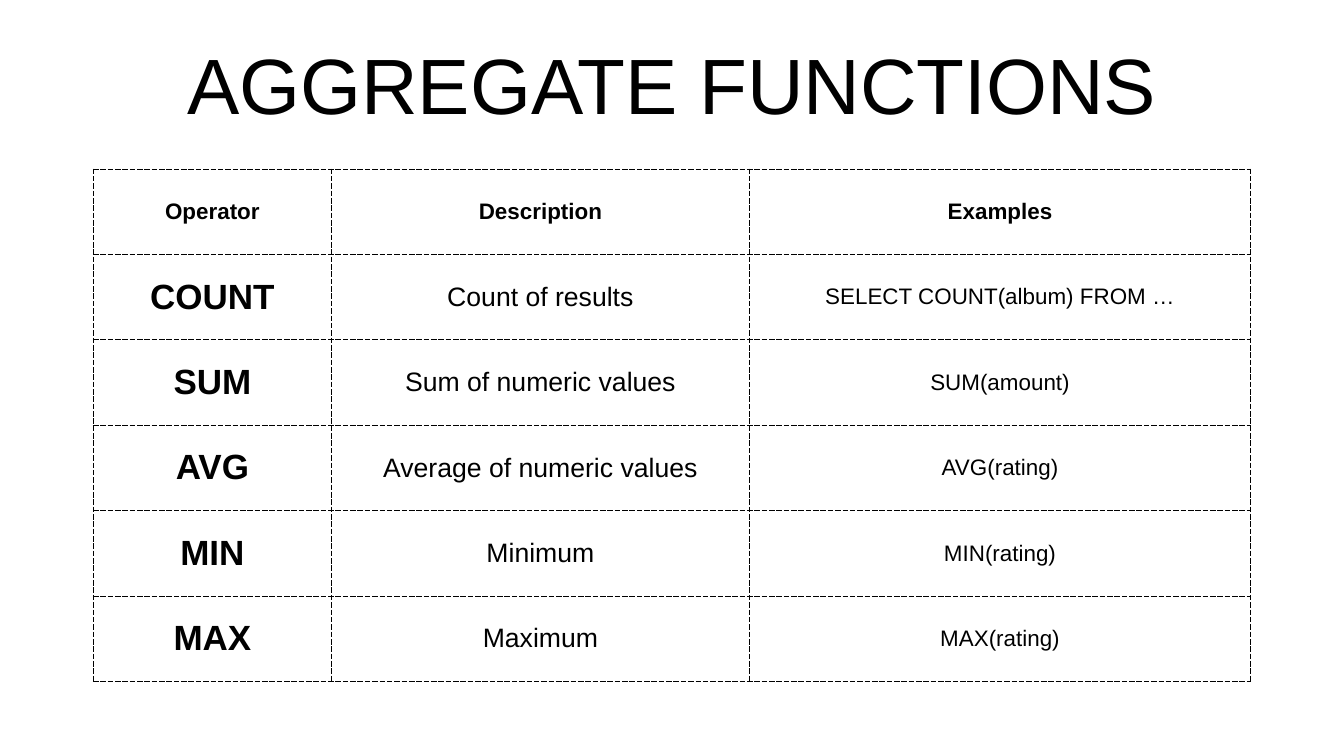
from dataclasses import dataclass

from lxml import etree
from pptx import Presentation
from pptx import util as u
from pptx.dml.color import RGBColor
from pptx.enum import text
from pptx.oxml import ns

INK = "000000"
INSET = u.Inches(0.06)
MARGIN, CONTENT_WIDTH = 1.85, 22.97
ROW_HEIGHT = 10.17 / 6


@dataclass(frozen=True)
class Column:
    heading: str
    width: float
    size: int
    bold: bool = False


@dataclass(frozen=True)
class Aggregate:
    operator: str
    description: str
    example: str


COLUMNS = [
    Column("Operator", 4.73, 50, bold=True),
    Column("Description", 8.29, 38),
    Column("Examples", 9.95, 32),
]
AGGREGATES = [
    Aggregate("COUNT", "Count of results", "SELECT COUNT(album) FROM …"),
    Aggregate("SUM", "Sum of numeric values", "SUM(amount)"),
    Aggregate("AVG", "Average of numeric values", "AVG(rating)"),
    Aggregate("MIN", "Minimum", "MIN(rating)"),
    Aggregate("MAX", "Maximum", "MAX(rating)"),
]


def color(hex_value: str) -> RGBColor:
    return RGBColor.from_string(hex_value)


def write(frame, content: str, *, size: float, bold: bool = False) -> None:
    """Put one centred paragraph in a text frame."""
    paragraph = frame.paragraphs[0]
    paragraph.alignment = text.PP_ALIGN.CENTER
    run = paragraph.add_run()
    run.text = content
    run.font.name = "Arial"
    run.font.size = u.Pt(size)
    run.font.bold = bold
    run.font.color.rgb = color(INK)


def set_insets(holder) -> None:
    """Middle anchor and equal margins, for a cell or a text frame."""
    holder.vertical_anchor = text.MSO_ANCHOR.MIDDLE
    holder.margin_left = holder.margin_right = INSET
    holder.margin_top = holder.margin_bottom = INSET


def add_dashed_borders(cell) -> None:
    properties = cell._tc.get_or_add_tcPr()
    for side in ("a:lnL", "a:lnR", "a:lnT", "a:lnB"):
        line = etree.SubElement(properties, ns.qn(side), w=str(u.Pt(1)))
        fill = etree.SubElement(line, ns.qn("a:solidFill"))
        etree.SubElement(fill, ns.qn("a:srgbClr"), val=INK)
        etree.SubElement(line, ns.qn("a:prstDash"), val="dash")


def fill_cell(cell, content: str, size: float, bold: bool) -> None:
    set_insets(cell)
    add_dashed_borders(cell)
    cell.fill.background()
    write(cell.text_frame, content, size=size, bold=bold)


def add_title(slide, content: str) -> None:
    title = slide.shapes.add_textbox(
        u.Inches(MARGIN), u.Inches(0.39), u.Inches(CONTENT_WIDTH), u.Inches(2.5))
    title.text_frame.word_wrap = True
    set_insets(title.text_frame)
    write(title.text_frame, content, size=112)


def add_aggregate_table(slide) -> None:
    row_count = len(AGGREGATES) + 1
    table = slide.shapes.add_table(
        row_count, len(COLUMNS), u.Inches(MARGIN), u.Inches(3.35),
        u.Inches(CONTENT_WIDTH), u.Inches(ROW_HEIGHT * row_count)).table
    table.first_row = table.horz_banding = False
    for row in table.rows:
        row.height = u.Inches(ROW_HEIGHT)

    for index, column in enumerate(COLUMNS):
        table.columns[index].width = u.Inches(column.width)
        fill_cell(table.cell(0, index), column.heading, 32, True)

    for row_index, entry in enumerate(AGGREGATES, start=1):
        values = (entry.operator, entry.description, entry.example)
        for index, (column, value) in enumerate(zip(COLUMNS, values)):
            fill_cell(table.cell(row_index, index), value, column.size, column.bold)


def main() -> None:
    deck = Presentation()
    deck.slide_width, deck.slide_height = u.Inches(26.67), u.Inches(15)
    slide = deck.slides.add_slide(deck.slide_layouts[6])

    # Background
    slide.background.fill.solid()
    slide.background.fill.fore_color.rgb = color("FFFFFF")

    # Heading and table
    add_title(slide, "AGGREGATE FUNCTIONS")
    add_aggregate_table(slide)

    deck.save("out.pptx")


if __name__ == "__main__":
    main()
